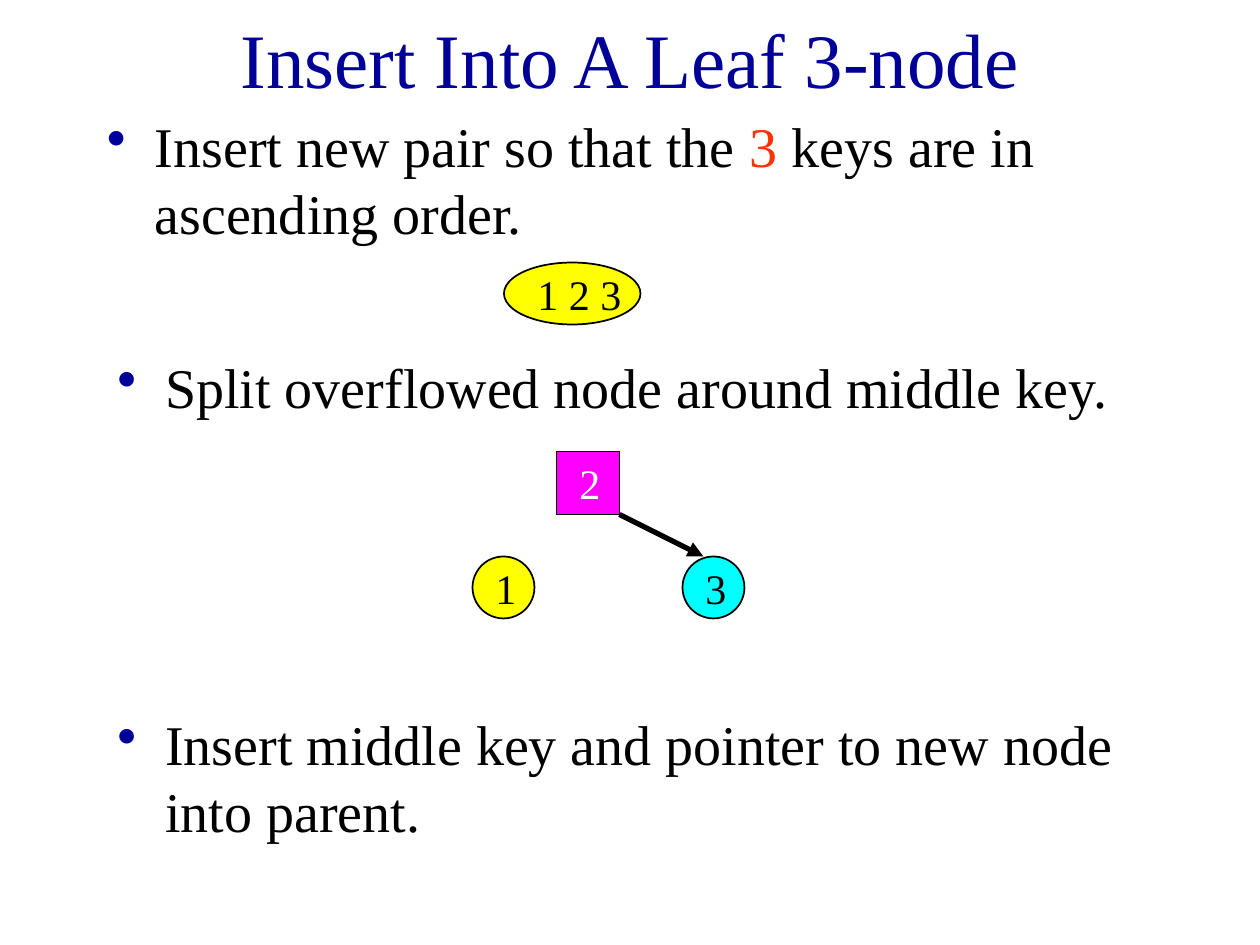
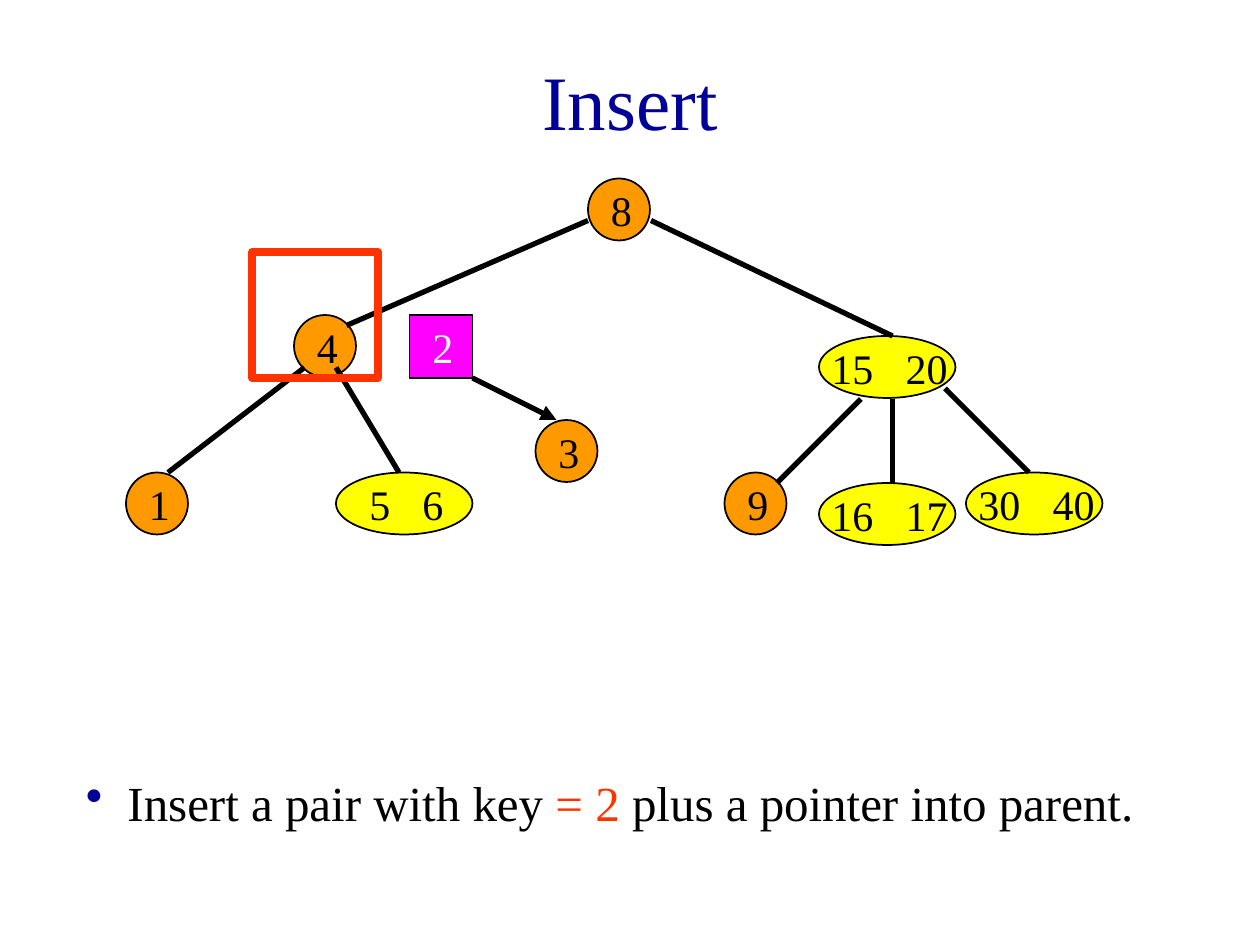
from lxml import etree
from pptx import Presentation
from pptx.dml.color import RGBColor
from pptx.enum.shapes import MSO_CONNECTOR, MSO_SHAPE
from pptx.enum.text import MSO_ANCHOR, MSO_AUTO_SIZE, PP_ALIGN
from pptx.oxml.ns import qn
from pptx.util import Inches, Pt

OVAL, SQUARE = MSO_SHAPE.OVAL, MSO_SHAPE.RECTANGLE
STRAIGHT = MSO_CONNECTOR.STRAIGHT
CENTER, LEFT = PP_ALIGN.CENTER, PP_ALIGN.LEFT
MIDDLE, TOP = MSO_ANCHOR.MIDDLE, MSO_ANCHOR.TOP
FIT_TEXT = MSO_AUTO_SIZE.SHAPE_TO_FIT_TEXT

NAVY = RGBColor(0x00, 0x00, 0x99)
BLACK = RGBColor(0x00, 0x00, 0x00)
WHITE = RGBColor(0xFF, 0xFF, 0xFF)
RED = RGBColor(0xFF, 0x33, 0x00)
YELLOW = RGBColor(0xFF, 0xFF, 0x00)
ORANGE = RGBColor(0xFF, 0x99, 0x00)
CYAN = RGBColor(0x00, 0xFF, 0xFF)
MAGENTA = RGBColor(0xFF, 0x00, 0xFF)

FONT = "Times New Roman"
WIDTH, HEIGHT = Inches(10), Inches(7.5)
CELL = WIDTH // 120            # the grid has 120 columns and 90 rows
NODE, WIDE, BOX = 5.9, 13, 6   # node sizes in cells

# Hand-drawn loop around key 4: start, then Bezier curves, in inches
LOOP_START = (2.42, 2.26)
LOOP_CURVES = [
    (2.39, 2.26, 2.36, 2.26, 2.33, 2.27), (2.3, 2.28, 2.3, 2.3, 2.28, 2.32),
    (2.11, 2.45, 2.25, 2.32, 2.16, 2.41), (2.13, 2.48, 2.13, 2.57, 2.08, 2.64),
    (2.06, 2.69, 2.01, 2.73, 1.98, 2.78), (1.95, 2.81, 1.94, 2.85, 1.92, 2.89),
    (1.92, 2.93, 1.92, 2.98, 1.93, 3.02), (1.94, 3.07, 2.09, 3.08, 2.13, 3.1),
    (2.19, 3.18, 2.27, 3.23, 2.37, 3.25), (2.51, 3.23, 2.64, 3.25, 2.77, 3.21),
    (2.8, 3.19, 2.83, 3.16, 2.85, 3.13), (2.9, 3.09, 3.01, 3.1, 3.07, 3.09),
    (3.11, 3.07, 3.16, 3.07, 3.19, 3.04), (3.23, 3.01, 3.24, 2.9, 3.24, 2.9),
    (3.24, 2.8, 3.25, 2.69, 3.23, 2.58), (3.21, 2.51, 3.1, 2.44, 3.05, 2.4),
    (2.97, 2.38, 2.9, 2.36, 2.82, 2.33), (2.82, 2.33, 2.76, 2.28, 2.75, 2.28),
    (2.42, 2.25, 2.42, 2.37, 2.42, 2.26),
]


def cells(*values):
    return [round(v * CELL) for v in values]


def add_text(s, box, runs, size, align=LEFT, anchor=TOP, before=0):
    """Add a one-paragraph text box; runs are (text, colour) pairs."""
    tf = s.shapes.add_textbox(*cells(*box)).text_frame
    tf.word_wrap = True
    tf.vertical_anchor = anchor
    p = tf.paragraphs[0]
    p.alignment = align
    p.space_before = Pt(before)
    for text, color in runs:
        r = p.add_run()
        r.text = text
        for name, value in {"name": FONT, "size": Pt(size)}.items():
            setattr(r.font, name, value)
        r.font.color.rgb = color
    return tf


def add_title(s, text, y, h):
    add_text(s, (9, y, 102, h), [(text, NAVY)], 44, CENTER, MIDDLE)


def add_bullet(s, box, runs, size=32, indent=0.38, before=8):
    tf = add_text(s, box, runs, size, before=before)
    pPr = tf.paragraphs[0]._p.get_or_add_pPr()
    pPr.set("marL", str(Inches(indent)))
    pPr.set("indent", str(-Inches(indent)))
    color = etree.SubElement(pPr, qn("a:buClr"))
    etree.SubElement(color, qn("a:srgbClr"), val=str(NAVY))
    etree.SubElement(pPr, qn("a:buChar"), char="•")


def add_label(s, x, y, w, text, color=BLACK):
    """Add the keys of a node; a tab separates two keys."""
    tf = add_text(s, (x, y, w, 6), [(text, color)], 24, before=15)
    tf.auto_size = FIT_TEXT
    if "\t" in text:
        first = text.split("\t")[0]
        pPr = tf.paragraphs[0]._p.get_or_add_pPr()
        tabs = etree.SubElement(pPr, qn("a:tabLst"))
        stop = Inches(0.17 * len(first) + 0.25)
        etree.SubElement(tabs, qn("a:tab"), pos=str(stop), algn="l")


def add_outline(s, kind, x, y, w, h, fill):
    shape = s.shapes.add_shape(kind, *cells(x, y, w, h))
    shape.shadow.inherit = False
    shape.fill.solid()
    shape.fill.fore_color.rgb = fill
    shape.line.color.rgb = BLACK
    shape.line.width = Pt(1)


def add_node(s, x, y, key, fill=ORANGE):
    add_outline(s, OVAL, x, y, NODE, NODE, fill)
    add_label(s, x + 1, y, 5, key)


def add_wide_node(s, x, y, keys, inset=0, label_w=18):
    add_outline(s, OVAL, x, y, WIDE, NODE, YELLOW)
    add_label(s, x + inset, y, label_w, keys)


def add_middle_key(s, x, y, key):
    """Square for the key that moves up, with an arrow to its new node."""
    add_outline(s, SQUARE, x, y, BOX, BOX, MAGENTA)
    add_label(s, x + 1, y, 9, key, WHITE)
    add_edge(s, x + 6, y + 6, x + 14, y + 10, arrow=True)


def add_edge(s, x1, y1, x2, y2, arrow=False):
    line = s.shapes.add_connector(STRAIGHT, *cells(x1, y1, x2, y2))
    line.line.color.rgb = BLACK
    line.line.width = Pt(3)
    if arrow:
        etree.SubElement(line.line._get_or_add_ln(), qn("a:tailEnd"), type="triangle")
    etree.SubElement(line._element.spPr, qn("a:effectLst"))


def curve_points(start, curves, steps=4):
    points = []
    for x1, y1, x2, y2, x3, y3 in curves:
        for i in range(1, steps + 1):
            t = i / steps
            weights = ((1 - t) ** 3, 3 * t * (1 - t) ** 2, 3 * t * t * (1 - t), t ** 3)
            points.append(tuple(
                sum(w * v for w, v in zip(weights, axis))
                for axis in ((start[0], x1, x2, x3), (start[1], y1, y2, y3))))
        start = (x3, y3)
    return points


def add_loop(s):
    builder = s.shapes.build_freeform(*LOOP_START, scale=Inches(1))
    builder.add_line_segments(curve_points(LOOP_START, LOOP_CURVES), close=True)
    loop = builder.convert_to_shape()
    loop.shadow.inherit = False
    loop.fill.background()
    loop.line.color.rgb = RED
    loop.line.width = Pt(4.5)


def build_split_slide(s):
    add_title(s, "Insert Into A Leaf 3-node", 0, 11)
    add_bullet(s, (9, 10, 102, 15), [
        ("Insert new pair so that the ", BLACK), ("3 ", RED),
        ("keys are in ascending order.", BLACK)])
    add_wide_node(s, 48, 25, "1 2 3", inset=2, label_w=14)
    for y, text in ((33, "Split overflowed node around middle key."),
                    (67, "Insert middle key and pointer to new node into parent.")):
        add_bullet(s, (10, y, 102, 9), [(text, BLACK)])
    # Split result
    add_node(s, 45, 53, "1", YELLOW)
    add_node(s, 65, 53, "3", CYAN)
    add_middle_key(s, 53, 43, "2")


def build_tree_slide(s):
    add_title(s, "Insert", 2, 15)
    # Tree nodes
    for x, y, key in ((56, 17, "8"), (28, 30, "4"), (51, 40, "3"),
                      (12, 45, "1"), (69, 45, "9")):
        add_node(s, x, y, key)
    for x, y, keys in ((78, 32, "15\t20"), (78, 46, "16\t17"), (92, 45, "30\t40")):
        add_wide_node(s, x, y, keys)
    add_wide_node(s, 32, 45, "5\t6", inset=2, label_w=10)
    # Tree edges
    for ends in ((56, 21, 33, 31), (62, 21, 85, 32), (29, 35, 16, 45),
                 (32, 35, 38, 45), (82, 38, 74, 46), (85, 38, 85, 46),
                 (90, 37, 98, 45)):
        add_edge(s, *ends)
    # Key moving into its parent
    add_middle_key(s, 39, 30, "2")
    add_bullet(s, (7, 73, 106, 6.8), [
        ("Insert a pair with key ", BLACK), ("= 2 ", RED),
        ("plus a pointer into parent.", BLACK)], size=28, indent=0.33, before=17.5)
    add_loop(s)


def main():
    prs = Presentation()
    prs.slide_width, prs.slide_height = WIDTH, HEIGHT
    blank = prs.slide_layouts[6]
    for build in (build_split_slide, build_tree_slide):
        build(prs.slides.add_slide(blank))
    prs.save("out.pptx")


if __name__ == "__main__":
    main()
